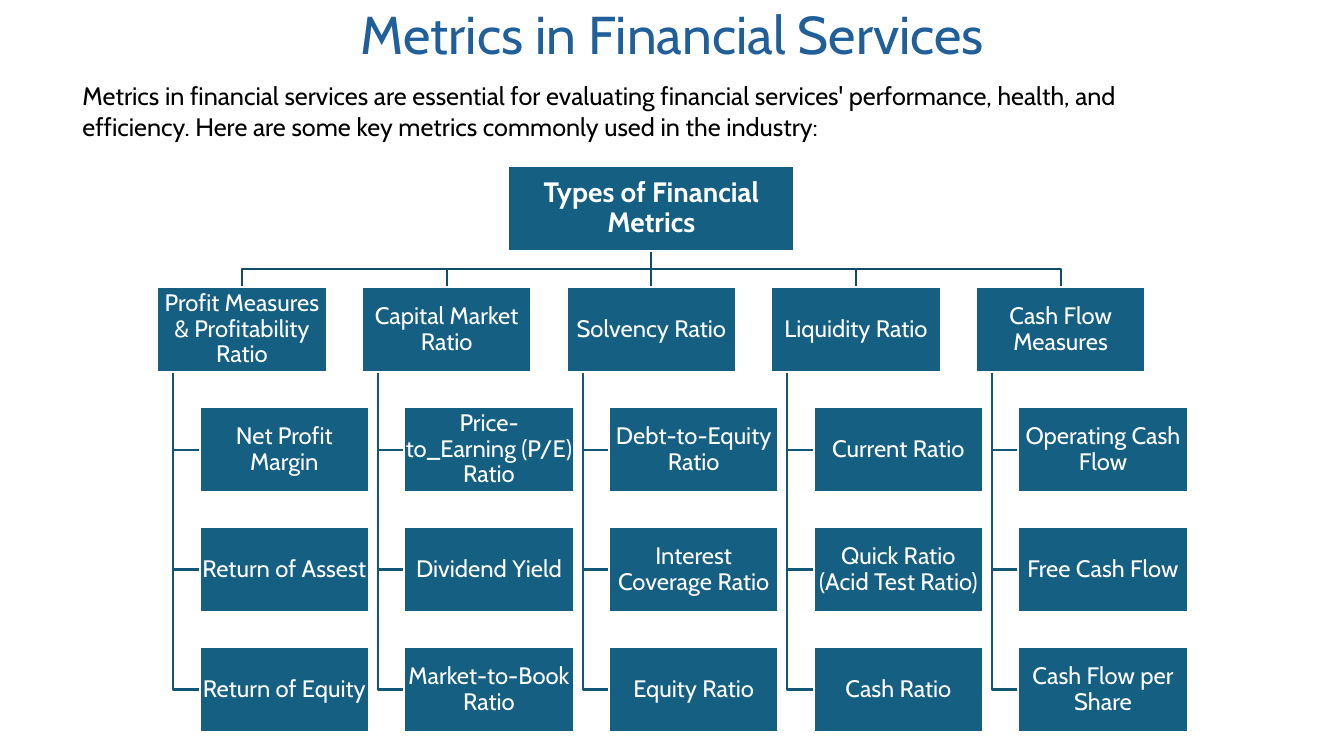
from dataclasses import dataclass

import pptx
import pptx.dml.color
import pptx.enum.shapes
import pptx.enum.text
import pptx.oxml.ns
import pptx.util
from lxml import etree
from pptx.util import Inches


@dataclass(frozen=True)
class Theme:
    font: str = "Cabin"
    title_color: str = "215F9A"
    text_color: str = "000000"
    box_fill: str = "156082"
    box_text: str = "FFFFFF"
    branch_line: str = "114D68"
    leaf_line: str = "135776"
    title_size: int = 38
    intro_size: int = 18
    root_size: int = 20
    box_size: int = 17
    line_width: float = 1.5


@dataclass(frozen=True)
class Box:
    text: str
    left: float
    top: float
    width: float
    size: int
    bold: bool = False

    @property
    def center(self) -> float:
        return self.left + self.width / 2

    @property
    def middle(self) -> float:
        return self.top + BOX_HEIGHT / 2

    @property
    def bottom(self) -> float:
        return self.top + BOX_HEIGHT


@dataclass(frozen=True)
class Category:
    name: str
    metrics: tuple[str, ...]


THEME = Theme()
TITLE = "Metrics in Financial Services"
INTRO = (
    "Metrics in financial services are essential for evaluating financial services' "
    "performance, health, and efficiency. Here are some key metrics commonly used in the industry:"
)
CATEGORIES = (
    Category("Profit Measures & Profitability Ratio",
             ("Net Profit Margin", "Return of Assest", "Return of Equity")),
    Category("Capital Market Ratio",
             ("Price-to_Earning (P/E) Ratio", "Dividend Yield", "Market-to-Book Ratio")),
    Category("Solvency Ratio",
             ("Debt-to-Equity Ratio", "Interest Coverage Ratio", "Equity Ratio")),
    Category("Liquidity Ratio",
             ("Current Ratio", "Quick Ratio (Acid Test Ratio)", "Cash Ratio")),
    Category("Cash Flow Measures",
             ("Operating Cash Flow", "Free Cash Flow", "Cash Flow per Share")),
)

# Chart grid, in inches
BOX_WIDTH, BOX_HEIGHT = 1.68, 0.84
FIRST_LEFT, COLUMN_STEP = 1.56, 2.03
FIRST_TOP, ROW_STEP = 2.85, 1.19
LEAF_INDENT, STEM_INDENT = 0.42, 0.16
BRANCH_DROP = 0.18
ROOT = Box("Types of Financial Metrics", 5.04, 1.65, 2.84, THEME.root_size, True)


def rgb(color: str) -> pptx.dml.color.RGBColor:
    return pptx.dml.color.RGBColor.from_string(color)


def write(frame, text: str, size: int, color: str, align, bold: bool = False) -> None:
    frame.word_wrap = True
    paragraph = frame.paragraphs[0]
    paragraph.alignment = align
    run = paragraph.add_run()
    run.text = text
    run.font.name = THEME.font
    run.font.size = pptx.util.Pt(size)
    run.font.bold = bold
    run.font.color.rgb = rgb(color)


def style_line(line, color: str) -> None:
    line.color.rgb = rgb(color)
    line.width = pptx.util.Pt(THEME.line_width)


def draw_box(slide, box: Box):
    shape = slide.shapes.add_shape(
        pptx.enum.shapes.MSO_SHAPE.RECTANGLE,
        Inches(box.left), Inches(box.top), Inches(box.width), Inches(BOX_HEIGHT),
    )
    shape.shadow.inherit = False
    shape.fill.solid()
    shape.fill.fore_color.rgb = rgb(THEME.box_fill)
    style_line(shape.line, THEME.box_text)
    frame = shape.text_frame
    frame.margin_left = frame.margin_right = Inches(0.01)
    frame.margin_top = frame.margin_bottom = Inches(0.01)
    frame.vertical_anchor = pptx.enum.text.MSO_ANCHOR.MIDDLE
    frame.paragraphs[0].line_spacing = 0.9
    write(frame, box.text, box.size, THEME.box_text, pptx.enum.text.PP_ALIGN.CENTER, box.bold)
    return shape


def draw_bend(slide, points: list[tuple[float, float]], color: str) -> None:
    start, *rest = [(Inches(x), Inches(y)) for x, y in points]
    builder = slide.shapes.build_freeform(*start)
    builder.add_line_segments(rest, close=False)
    shape = builder.convert_to_shape()
    shape.shadow.inherit = False
    shape.fill.background()
    style_line(shape.line, color)


def draw_straight(slide, parent: Box, child: Box):
    connector = slide.shapes.add_connector(
        pptx.enum.shapes.MSO_CONNECTOR.STRAIGHT,
        Inches(parent.center), Inches(parent.bottom), Inches(child.center), Inches(child.top),
    )
    style_line(connector.line, THEME.branch_line)
    etree.SubElement(connector._element.spPr, pptx.oxml.ns.qn("a:effectLst"))
    return connector


def draw_tree(slide) -> None:
    heads = [
        Box(category.name, FIRST_LEFT + column * COLUMN_STEP, FIRST_TOP, BOX_WIDTH, THEME.box_size)
        for column, category in enumerate(CATEGORIES)
    ]
    leaves = [
        [Box(metric, head.left + LEAF_INDENT, FIRST_TOP + row * ROW_STEP, BOX_WIDTH, THEME.box_size)
         for row, metric in enumerate(category.metrics, start=1)]
        for head, category in zip(heads, CATEGORIES)
    ]
    center_column = len(heads) // 2

    # Lines, behind the boxes
    trunk = draw_straight(slide, ROOT, heads[center_column])
    branch_y = ROOT.bottom + BRANCH_DROP
    for column, head in enumerate(heads):
        if column != center_column:
            draw_bend(slide, [(ROOT.center, ROOT.bottom), (ROOT.center, branch_y),
                              (head.center, branch_y), (head.center, head.top)], THEME.branch_line)
        stem_x = head.left + STEM_INDENT
        for leaf in leaves[column]:
            draw_bend(slide, [(stem_x, head.bottom), (stem_x, leaf.middle),
                              (leaf.left, leaf.middle)], THEME.leaf_line)

    # Boxes
    root_shape = draw_box(slide, ROOT)
    head_shapes = []
    for head, column_leaves in zip(heads, leaves):
        head_shapes.append(draw_box(slide, head))
        for leaf in column_leaves:
            draw_box(slide, leaf)
    trunk.begin_connect(root_shape, 2)
    trunk.end_connect(head_shapes[center_column], 0)


def main() -> None:
    presentation = pptx.Presentation()
    presentation.slide_width = Inches(13.33)
    presentation.slide_height = Inches(7.5)
    slide = presentation.slides.add_slide(presentation.slide_layouts[5])

    # Title
    title = slide.shapes.title
    title.left, title.top = Inches(0.72), Inches(0.08)
    title.width, title.height = Inches(11.9), Inches(0.58)
    title.text_frame.auto_size = pptx.enum.text.MSO_AUTO_SIZE.NONE
    title.text_frame.vertical_anchor = pptx.enum.text.MSO_ANCHOR.MIDDLE
    title.text_frame.paragraphs[0].line_spacing = 0.9
    write(title.text_frame, TITLE, THEME.title_size, THEME.title_color,
          pptx.enum.text.PP_ALIGN.CENTER)

    # Introduction
    intro = slide.shapes.add_textbox(Inches(0.72), Inches(0.75), Inches(11.56), Inches(0.71))
    intro.text_frame.auto_size = pptx.enum.text.MSO_AUTO_SIZE.SHAPE_TO_FIT_TEXT
    write(intro.text_frame, INTRO, THEME.intro_size, THEME.text_color,
          pptx.enum.text.PP_ALIGN.LEFT)

    # Metrics tree
    draw_tree(slide)
    presentation.save("out.pptx")


if __name__ == "__main__":
    main()
